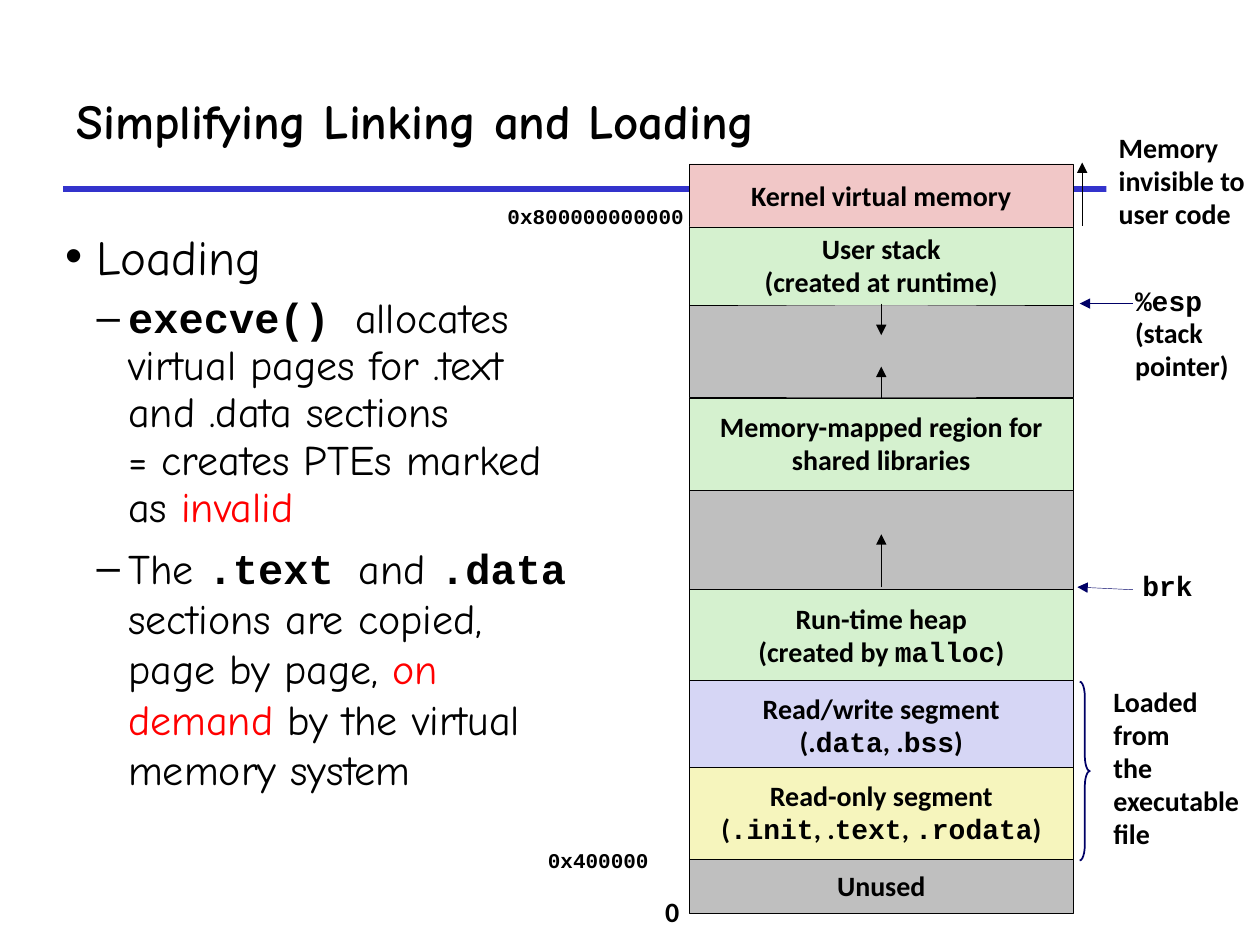
from lxml import etree
from pptx import Presentation
from pptx.dml.color import RGBColor
from pptx.enum.shapes import MSO_CONNECTOR, MSO_SHAPE
from pptx.enum.text import MSO_ANCHOR, MSO_AUTO_SIZE, PP_ALIGN
from pptx.oxml.ns import qn
from pptx.util import Pt

RECTANGLE, BRACE = MSO_SHAPE.RECTANGLE, MSO_SHAPE.RIGHT_BRACE
STRAIGHT = MSO_CONNECTOR.STRAIGHT
MIDDLE, TOP = MSO_ANCHOR.MIDDLE, MSO_ANCHOR.TOP
CENTER, LEFT = PP_ALIGN.CENTER, PP_ALIGN.LEFT
GROW = MSO_AUTO_SIZE.SHAPE_TO_FIT_TEXT

BLACK, WHITE = RGBColor(0, 0, 0), RGBColor(255, 255, 255)
RED, NAVY = RGBColor(255, 0, 0), RGBColor(0, 0, 0x66)
RULE_BLUE = RGBColor(0x33, 0x33, 0xCC)
PINK, GREEN = RGBColor(0xF1, 0xC7, 0xC7), RGBColor(0xD5, 0xF1, 0xCF)
GREY, LILAC = RGBColor(0xBF, 0xBF, 0xBF), RGBColor(0xD6, 0xD6, 0xF5)
YELLOW = RGBColor(0xF6, 0xF5, 0xBD)
SANS, HAND, MONO = "Calibri", "Comic Neue", "Courier New"
THIN = 0.26

PLAIN = {"name": HAND, "bold": False}
CODE = {"name": MONO, "bold": True}
ALERT = {**PLAIN, "color": RED}

# Fill, top, height, lines; backticks enclose code
BANDS = [
    (PINK, 0, 38, ["Kernel virtual memory"]),
    (GREY, 62, 71.3, []),
    (GREEN, 36, 44.6, ["User stack", "(created at runtime)"]),
    (GREEN, 133.9, 52.6, ["Memory-mapped region for", "shared libraries"]),
    (GREY, 186.5, 56.9, []),
    (GREEN, 243.4, 52.6, ["Run-time heap", "(created by `malloc`)"]),
    (LILAC, 295.2, 52.6, ["Read/write segment", "(.`data`, .`bss`)"]),
    (YELLOW, 344.9, 52.6,
     ["Read-only segment", "(`.init`, .`text`, `.rodata`)"]),
    (GREY, 397.4, 31, ["Unused"]),
]
GROWTH_ARROWS = [(241.9, 211.7), (133.9, 115.9), (79.9, 97.9)]
# Left, top, width, height, size, fill, lines
NOTES = [
    (-20.8, 414.7, 22.3, 25.9, 16, None, ["0"]),
    (247.7, 66.2, 68.4, 63.4, 16, None, ["`%esp `", "(stack ", "pointer)"]),
    (238.4, -21.6, 86.4, 64.1, 16, WHITE,
     ["Memory", "invisible to", "user code"]),
    (252, 229, 43.2, 25.2, 16, None, ["`brk`"]),
    (-110.9, 20.2, 115.2, 20.9, 12, None, ["`0x800000000000`"]),
    (-87.8, 388.1, 72, 20.9, 12, None, ["`0x400000`"]),
    (235.4, 295.2, 90.7, 101.5, 16, None,
     ["Loaded ", "from ", "the ", "executable ", "file"]),
]
# Start, end, colour
SIDE_ARROWS = [
    ((253.5, 79.9), (223.2, 79.9), NAVY),
    ((253.5, 243.4), (221.8, 241.9), NAVY),
    ((224.6, 35.3), (224.6, -0.7), BLACK),
]
# Level, size, line spacing, space before, spans
BULLETS = [
    (0, 28, 1, 12.5, [("Loading ", PLAIN)]),
    (1, 24, 0.94, 5.6, [
        ("execve() ", CODE),
        ("allocates virtual pages for .text and .data sections ", PLAIN),
        ("\n", None), ("= creates PTEs marked as ", PLAIN),
        ("invalid", ALERT)]),
    (1, 24, 1, 5.6, [
        ("The ", PLAIN), (".text ", CODE), ("and ", PLAIN), (".data ", CODE),
        ("sections are copied, page by page, ", PLAIN), ("on demand", ALERT),
        (" by the virtual memory system", PLAIN)]),
]


def apply(target, values):
    """Set each attribute of the target from a dict."""
    for name, value in values.items():
        setattr(target, name, value)


def add_span(para, text, size, name=SANS, bold=True, color=BLACK):
    """Append one formatted span of text."""
    span = para.add_run()
    span.text = text
    apply(span.font, {"name": name, "bold": bold, "size": Pt(size)})
    span.font.color.rgb = color


def next_para(frame, index):
    """Return the first paragraph, or a new one after it."""
    return frame.add_paragraph() if index else frame.paragraphs[0]


def write_lines(frame, lines, size, align):
    """Write bold lines, setting text between backticks as code."""
    for index, line in enumerate(lines):
        para = next_para(frame, index)
        apply(para, {"alignment": align,
                     "line_spacing": 0.94 if line[0] == "`" else 0.98})
        for part, text in enumerate(line.split("`")):
            if text:
                add_span(para, text, size, MONO if part % 2 else SANS)


def add_line(page, start, end, color, width, arrow=False):
    """Draw a straight line, with an arrowhead at its end if asked."""
    line = page.shapes.add_connector(STRAIGHT, *map(Pt, (*start, *end)))
    line.line.color.rgb = color
    line.line.width = Pt(width)
    if arrow:
        outline = line.line._get_or_add_ln()
        etree.SubElement(outline, qn("a:tailEnd"), type="triangle")
    etree.SubElement(line._element.spPr, qn("a:effectLst"))


def add_title(page, box):
    """Place the slide title and the rule below it."""
    left, top, width, height = box
    add_line(page, (left - 0.7, top + 77.8), (left + 635, top + 77.8),
             RULE_BLUE, 3)
    frame = page.shapes.add_textbox(*map(Pt, box)).text_frame
    apply(frame, {"word_wrap": True, "vertical_anchor": MIDDLE})
    add_span(frame.paragraphs[0], "Simplifying Linking and Loading", 28, HAND)


def add_body(page, box):
    """Place the bulleted text."""
    frame = page.shapes.add_textbox(*map(Pt, box)).text_frame
    frame.word_wrap = True
    for index, (level, size, spacing, before, spans) in enumerate(BULLETS):
        para = next_para(frame, index)
        apply(para, {"level": level, "line_spacing": spacing,
                     "space_before": Pt(before)})
        props = para._p.get_or_add_pPr()
        props.set("marL", str(Pt(18 * (level + 1))))
        props.set("indent", str(Pt(-18)))
        color = etree.SubElement(props, qn("a:buClr"))
        etree.SubElement(color, qn("a:srgbClr"), val=str(BLACK))
        etree.SubElement(props, qn("a:buFont"), typeface="Arial")
        etree.SubElement(props, qn("a:buChar"), char="•–"[level])
        for text, style in spans:
            if style is None:
                para.add_line_break()
            else:
                add_span(para, text, size, **style)


def add_memory_map(page, box):
    """Stack the memory bands and draw the growth arrows."""
    left, top, width, height = box
    for fill, offset, depth, lines in BANDS:
        band = page.shapes.add_shape(
            RECTANGLE, *map(Pt, (left, top + offset, width, depth)))
        band.shadow.inherit = False
        band.fill.solid()
        band.fill.fore_color.rgb = fill
        band.line.color.rgb = BLACK
        band.line.width = Pt(THIN)
        apply(band.text_frame, {"word_wrap": False, "vertical_anchor": MIDDLE})
        write_lines(band.text_frame, lines, 16, CENTER)
    middle = left + width / 2
    for start, end in GROWTH_ARROWS:
        add_line(page, (middle, top + start), (middle, top + end),
                 BLACK, THIN, True)


def add_map_notes(page, box):
    """Place the labels, pointers and brace around the memory map."""
    left, top, width, height = box
    for x, y, wide, high, size, fill, lines in NOTES:
        note = page.shapes.add_textbox(
            *map(Pt, (left + x, top + y, wide, high)))
        if fill is not None:
            note.fill.solid()
            note.fill.fore_color.rgb = fill
        apply(note.text_frame, {"word_wrap": False, "auto_size": GROW,
                                "vertical_anchor": TOP})
        write_lines(note.text_frame, lines, size, LEFT)
    for start, end, color in SIDE_ARROWS:
        add_line(page, (left + start[0], top + start[1]),
                 (left + end[0], top + end[1]), color, THIN, True)
    brace = page.shapes.add_shape(
        BRACE, *map(Pt, (left + width + 3.6, top + 295.9, 5.8, 102.2)))
    brace.adjustments[0] = 1.5
    brace.shadow.inherit = False
    brace.fill.background()
    brace.line.color.rgb = NAVY
    brace.line.width = Pt(1)


deck = Presentation()
apply(deck, {"slide_width": Pt(720), "slide_height": Pt(540)})
page = deck.slides.add_slide(deck.slide_layouts[6])
map_box = (393.8, 93.6, 219.6, 428.4)
add_title(page, (36.7, 30.2, 652.3, 77))
add_body(page, (30.2, 126, 306, 376.6))
add_memory_map(page, map_box)
add_map_notes(page, map_box)
deck.save("out.pptx")
